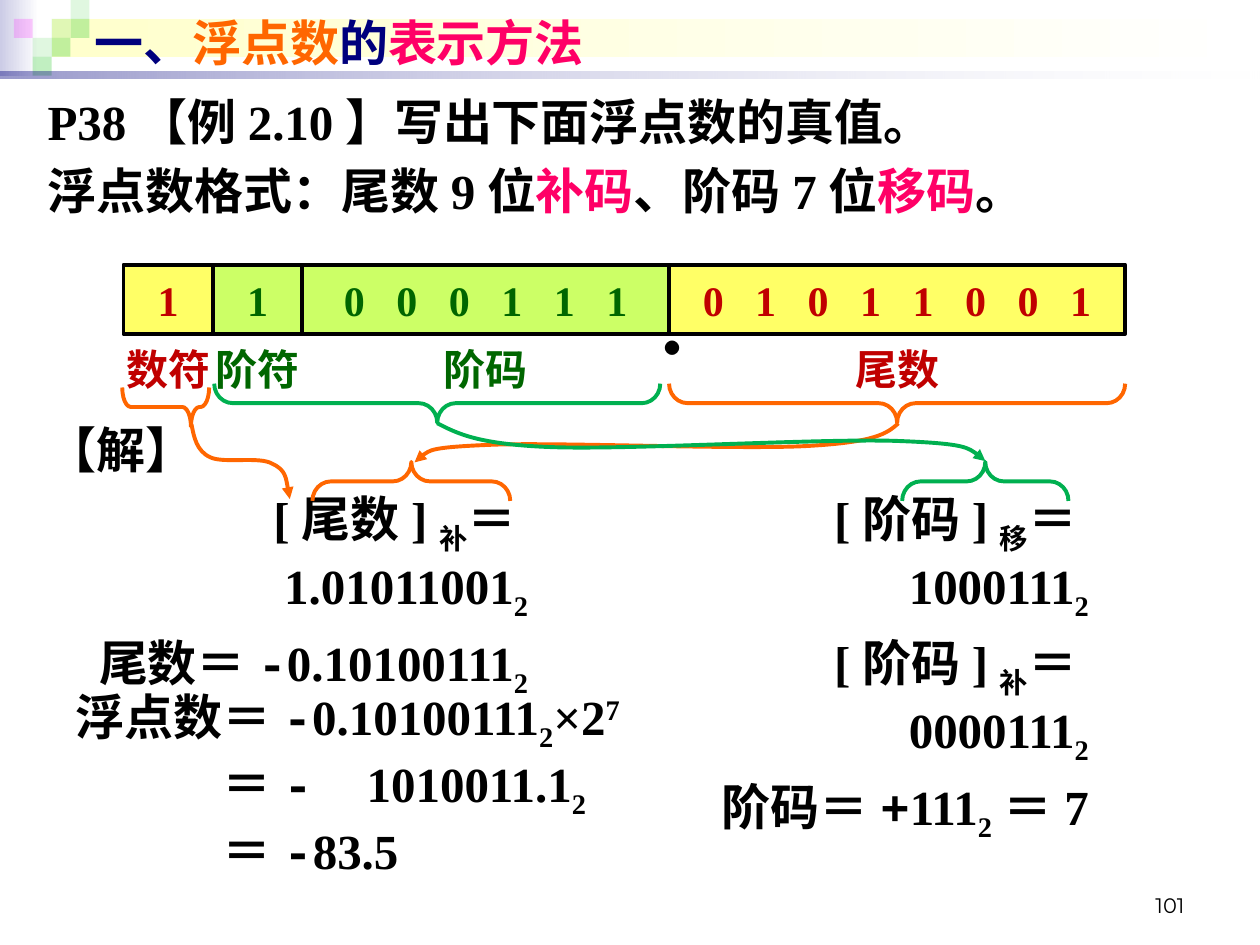
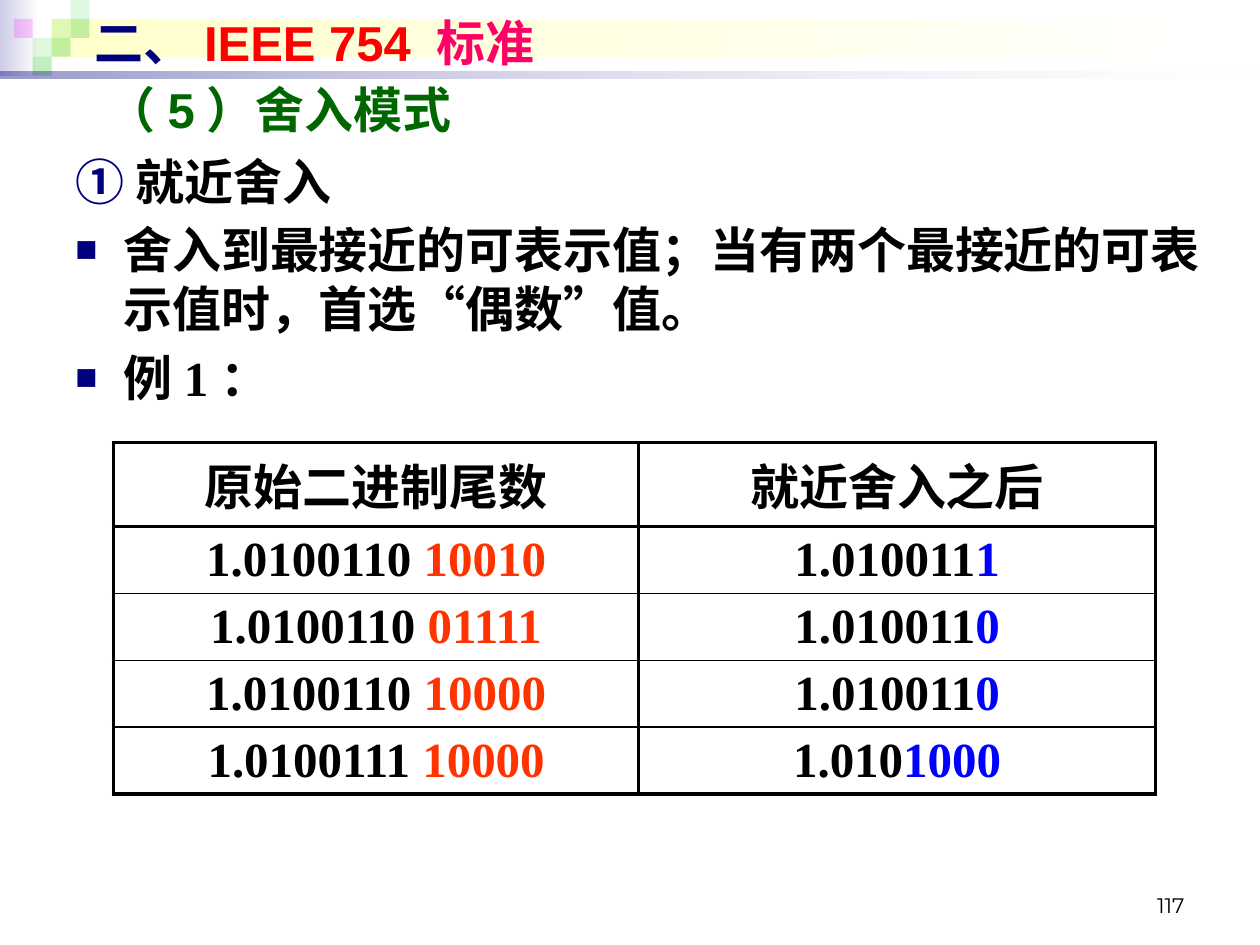
from dataclasses import dataclass

from lxml.etree import SubElement
from pptx import Presentation
from pptx.dml.color import RGBColor
from pptx.enum.shapes import MSO_SHAPE
from pptx.enum.text import MSO_ANCHOR, MSO_AUTO_SIZE, PP_ALIGN
from pptx.oxml.ns import qn
from pptx.util import Pt

PX = 9144  # EMU in one px, 100 px to the inch

SERIF, SANS, MONO = "Times New Roman", "Arial", "Courier New"
CJK, NUMBER_FONT = "Noto Sans CJK SC", "Montserrat"

BLACK = RGBColor(0x00, 0x00, 0x00)
WHITE = RGBColor(0xFF, 0xFF, 0xFF)
NAVY = RGBColor(0x00, 0x00, 0x7D)
LAVENDER = RGBColor(0xCC, 0xCC, 0xE6)
CREAM = RGBColor(0xFF, 0xFF, 0xCC)
LEAF = RGBColor(0x33, 0xCC, 0x33)
MAGENTA = RGBColor(0xFF, 0x00, 0xFF)
PINK = RGBColor(0xFF, 0x00, 0x66)
ORANGE = RGBColor(0xFF, 0x66, 0x00)
RED = RGBColor(0xFF, 0x00, 0x00)
BRICK = RGBColor(0xC0, 0x00, 0x00)
VERMILION = RGBColor(0xFF, 0x33, 0x00)
DARK_GREEN = RGBColor(0x00, 0x66, 0x00)
GREEN = RGBColor(0x00, 0xB0, 0x50)
LIME = RGBColor(0xCC, 0xFF, 0x66)
YELLOW = RGBColor(0xFF, 0xFF, 0x66)
BLUE = RGBColor(0x00, 0x00, 0xFF)

LEFT, CENTER, RIGHT = PP_ALIGN.LEFT, PP_ALIGN.CENTER, PP_ALIGN.RIGHT
THICK, THIN = Pt(2.25), Pt(1)


@dataclass
class Run:
    text: str
    color: RGBColor = None
    font: str = None
    base: int = 0      # percent raised (+) or lowered (-)
    spread: float = 0  # points between letters


@dataclass
class Para:
    runs: list
    left: int = 0
    first: int = 0
    bullet: bool = False


def sub(text):
    return Run(text, base=-25)


def mono(text, spread=0):
    return Run(text, font=MONO, spread=spread)


def add_bullet(pPr):
    SubElement(SubElement(pPr, qn("a:buClr")), qn("a:srgbClr")).set("val", str(NAVY))
    SubElement(pPr, qn("a:buSzPct")).set("val", "75000")
    SubElement(pPr, qn("a:buFont")).set("typeface", SANS)
    SubElement(pPr, qn("a:buChar")).set("char", "■")


def write(tf, paras, size=28, font=SERIF, color=BLACK, align=LEFT, bold=True, space=5.6):
    for i, para in enumerate(paras):
        para = para if isinstance(para, Para) else Para(para)
        p = tf.add_paragraph() if i else tf.paragraphs[0]
        pPr = p._p.get_or_add_pPr()
        pPr.set("marL", str(para.left * PX))
        pPr.set("indent", str(para.first * PX))
        if para.bullet:
            add_bullet(pPr)
        p.alignment = align
        p.space_before = Pt(space if i else 0)
        for item in para.runs:
            item = item if isinstance(item, Run) else Run(item)
            r = p.add_run()
            r.text = item.text
            r.font.size, r.font.bold = Pt(size), bold
            r.font.name = item.font or font
            r.font.color.rgb = item.color or color
            rPr = r._r.get_or_add_rPr()
            SubElement(rPr, qn("a:ea")).set("typeface", CJK)
            if item.base:
                rPr.set("baseline", str(item.base * 1000))
            if item.spread:
                rPr.set("spc", str(int(item.spread * 100)))


def set_opacity(sp, *percents):
    for clr, percent in zip(sp.element.spPr.iter(qn("a:srgbClr")), percents):
        SubElement(clr, qn("a:alpha")).set("val", str(percent * 1000))


def set_borders(cell, **widths):
    """Widths are given by side letter, in the order L, R, T, B."""
    tcPr = cell._tc.get_or_add_tcPr()
    for i, (side, width) in enumerate(widths.items()):
        ln = SubElement(tcPr, qn(f"a:ln{side}"), w=str(width))
        SubElement(SubElement(ln, qn("a:solidFill")), qn("a:srgbClr")).set("val", str(BLACK))
        tcPr.insert(i, ln)


class Deck:
    def __init__(self):
        self.prs = Presentation()
        self.prs.slide_width, self.prs.slide_height = 1000 * PX, 750 * PX
        self.layout = self.prs.slide_layouts.get_by_name("Title Only")
        self.s = None

    def slide(self, title, number):
        is_first = self.s is None
        self.s = self.prs.slides.add_slide(self.layout)
        if is_first:
            self.add_bands_to_layout()
        sp = self.s.shapes.title
        sp.left, sp.top, sp.width, sp.height = (v * PX for v in (65, 5, 900, 57))
        self.fill_frame(sp.text_frame, [title], MSO_ANCHOR.MIDDLE, font=SANS, color=NAVY)
        self.text((717, 683, 233, 50), [[number]], MSO_ANCHOR.BOTTOM, size=12,
                  font=NUMBER_FONT, align=RIGHT, bold=False)

    def add_bands_to_layout(self):
        bands = [self.gradient((0, 0, 31, 60), LAVENDER, WHITE),
                 self.gradient((41, 15, 955, 30), CREAM, WHITE)]
        for x, y, color, opacity in [(41, 15, LEAF, 15), (56, 0, LEAF, 15), (56, 15, LEAF, 30),
                                     (26, 30, LEAF, 15), (11, 15, MAGENTA, 20),
                                     (41, 30, LEAF, 30), (26, 45, LEAF, 30)]:
            square = self.rect((x, y, 15, 15), color)
            set_opacity(square, opacity)
            bands.append(square)
        rule = self.gradient((0, 57, 1000, 5), NAVY, WHITE)
        set_opacity(rule, 40, 10)
        for i, sp in enumerate(bands + [rule]):
            sp.element.nvSpPr.cNvPr.id = 20 + i
            self.layout.shapes.element.append(sp.element)

    def shape(self, kind, box):
        sp = self.s.shapes.add_shape(kind, *(int(v * PX) for v in box))
        sp.shadow.inherit = False
        sp.line.fill.background()
        return sp

    def rect(self, box, color):
        sp = self.shape(MSO_SHAPE.RECTANGLE, box)
        sp.fill.solid()
        sp.fill.fore_color.rgb = color
        return sp

    def gradient(self, box, start, end):
        sp = self.shape(MSO_SHAPE.RECTANGLE, box)
        sp.fill.gradient()
        sp.fill.gradient_angle = 0
        for stop, color in zip(sp.fill.gradient_stops, (start, end)):
            stop.color.rgb = color
        return sp

    def outline(self, sp, color):
        sp.line.color.rgb = color
        sp.line.width = THICK

    def fill_frame(self, tf, paras, anchor=MSO_ANCHOR.TOP, side_inset=10, **style):
        tf.word_wrap = True
        tf.auto_size = MSO_AUTO_SIZE.NONE
        tf.vertical_anchor = anchor
        tf.margin_left = tf.margin_right = side_inset * PX
        tf.margin_top = tf.margin_bottom = 5 * PX
        write(tf, paras, **style)

    def text(self, box, paras, anchor=MSO_ANCHOR.TOP, **style):
        sp = self.s.shapes.add_textbox(*(v * PX for v in box))
        self.fill_frame(sp.text_frame, paras, anchor, **style)

    def field(self, x, width, bits, label, fill, color):
        """One field of the number format, with its label below."""
        style = dict(anchor=MSO_ANCHOR.MIDDLE, side_inset=0, size=24, color=color, align=CENTER)
        sp = self.rect((x, 210, width, 55), fill)
        self.outline(sp, BLACK)
        self.fill_frame(sp.text_frame, [[Run(bits, spread=6 if " " in bits else 0)]], **style)
        self.text((x, 265, width, 55), [[label]], **style)

    def brace(self, x0, x1, middle, color, up=False, bend=0.475, tip=0.5):
        """Lying brace from x0 to x1, centred on the height middle."""
        span, depth = x1 - x0, 31
        sp = self.shape(MSO_SHAPE.RIGHT_BRACE,
                        ((x0 + x1 - depth) / 2, middle - span / 2, depth, span))
        sp.rotation = 270 if up else 90
        sp.adjustments[0], sp.adjustments[1] = bend, tip
        sp.fill.background()
        self.outline(sp, color)

    def curved_arrow(self, points, color):
        """Bezier chain: a start, then two controls and an end per piece."""
        builder = self.s.shapes.build_freeform(*points[0], scale=PX)
        builder.add_line_segments(points[1:], close=False)
        sp = builder.convert_to_shape()
        geometry = sp.element.find(".//" + qn("a:path"))
        lines = geometry.findall(qn("a:lnTo"))
        for i in range(0, len(lines), 3):
            piece = SubElement(geometry, qn("a:cubicBezTo"))
            piece.extend([line[0] for line in lines[i:i + 3]])
        for line in lines:
            geometry.remove(line)
        sp.shadow.inherit = False
        sp.fill.background()
        self.outline(sp, color)
        SubElement(sp.line._get_or_add_ln(), qn("a:tailEnd")).set("type", "triangle")

    def table(self, box, widths, heights, rows):
        frame = self.s.shapes.add_table(len(rows), len(widths), *(v * PX for v in box))
        table = frame.table
        for col, width in zip(table.columns, widths):
            col.width = width * PX
        for i, (row, height) in enumerate(zip(rows, heights)):
            table.rows[i].height = height * PX
            for j, runs in enumerate(row):
                cell = table.cell(i, j)
                cell.fill.background()
                cell.vertical_anchor = MSO_ANCHOR.MIDDLE
                write(cell.text_frame, [runs], align=CENTER)
                set_borders(cell, L=THICK, R=THICK, T=THICK if i < 2 else THIN,
                            B=THICK if i in (0, len(rows) - 1) else THIN)


def floating_point_slide(deck):
    deck.slide(["一、", Run("浮点数", ORANGE), "的", Run("表示方法", PINK)], "101")
    deck.text((28, 68, 953, 126), [
        ["P38【例2.10】写出下面浮点数的真值。"],
        ["浮点数格式：尾数9位", Run("补码", PINK), "、阶码7位", Run("移码", PINK), "。"]])

    x = 98
    for width, bits, label, fill, color in [
            (71, "1", "数符", YELLOW, BRICK), (71, "1", "阶符", LIME, DARK_GREEN),
            (291, "0 0 0 1 1 1", "阶码", LIME, DARK_GREEN),
            (362, "0 1 0 1 1 0 0 1", "尾数", YELLOW, BRICK)]:
        deck.field(x, width, bits, label, fill, color)
        x += width
    deck.text((498, 244, 71, 64), [["·"]], size=32, font=CJK, align=CENTER)

    deck.text((28, 328, 150, 57), [["【解】"]])
    deck.text((32, 383, 397, 174), [
        ["[尾数]", sub("补"), "＝1.01011001", sub("2")],
        ["尾数＝", mono("-"), "0.10100111", sub("2")]], align=RIGHT)
    deck.text((532, 383, 342, 290), [
        ["[阶码]", sub("移"), "＝1000111", sub("2")],
        ["[阶码]", sub("补"), "＝0000111", sub("2")],
        ["阶码＝", mono("+"), "111", sub("2"), "＝7"]], align=RIGHT)
    equals_indent = 117
    deck.text((50, 540, 473, 151), [
        ["浮点数＝", mono("-"), "0.10100111", sub("2"), "×2", Run("7", base=30)],
        Para(["＝", mono("- ", spread=7), "1010011.1", sub("2")], equals_indent),
        Para(["＝", mono("-"), "83.5"], equals_indent)], space=0)

    deck.brace(531, 893, 320, ORANGE)
    deck.brace(97, 166, 323, ORANGE, bend=0.22, tip=0.21)
    deck.curved_arrow([(152, 337), (154, 347), (156, 358), (167, 363), (178, 368),
                       (206, 362), (216, 368), (227, 373), (228, 385), (230, 396)], ORANGE)
    deck.brace(248, 405, 382, ORANGE, up=True)
    deck.curved_arrow([(713, 336), (704, 344), (695, 351), (641, 354),
                       (587, 357), (443, 351), (391, 353),
                       (339, 355), (334, 361), (329, 367)], ORANGE)
    deck.brace(170, 524, 320, GREEN)
    deck.brace(716, 848, 382, GREEN, up=True)
    deck.curved_arrow([(347, 336), (363, 344), (379, 353), (440, 355),
                       (501, 357), (654, 348), (711, 350),
                       (768, 352), (775, 359), (782, 366)], GREEN)


def rounding_slide(deck):
    deck.slide(["二、", Run("IEEE 754 ", RED), Run("标准", PINK)], "117")
    deck.text((50, 115, 915, 591), [
        Para([Run("①", NAVY), " 就近舍入"], 38, -38),
        Para(["舍入到最接近的可表示值；当有两个最接近的可表示值时，首选“偶数”值。"], 38, -38, True),
        Para(["例1："], 38, -38, True)])
    deck.text((75, 58, 861, 57), [["（5）舍入模式"]], MSO_ANCHOR.MIDDLE,
              font=SANS, color=DARK_GREEN)

    roundings = [("1.0100110 ", "10010", "1.010011", "1"),
                 ("1.0100110 ", "01111", "1.010011", "0"),
                 ("1.0100110 ", "10000", "1.010011", "0"),
                 ("1.0100111 ", "10000", "1.010", "1000")]
    rows = [[["原始二进制尾数"], ["就近舍入之后"]]]
    rows += [[[kept, Run(dropped, VERMILION)], [same, Run(changed, BLUE)]]
             for kept, dropped, same, changed in roundings]
    deck.table((90, 351, 827, 279), (417, 410), [67] + [53] * 4, rows)


def main():
    deck = Deck()
    floating_point_slide(deck)
    rounding_slide(deck)
    deck.prs.save("out.pptx")


if __name__ == "__main__":
    main()
